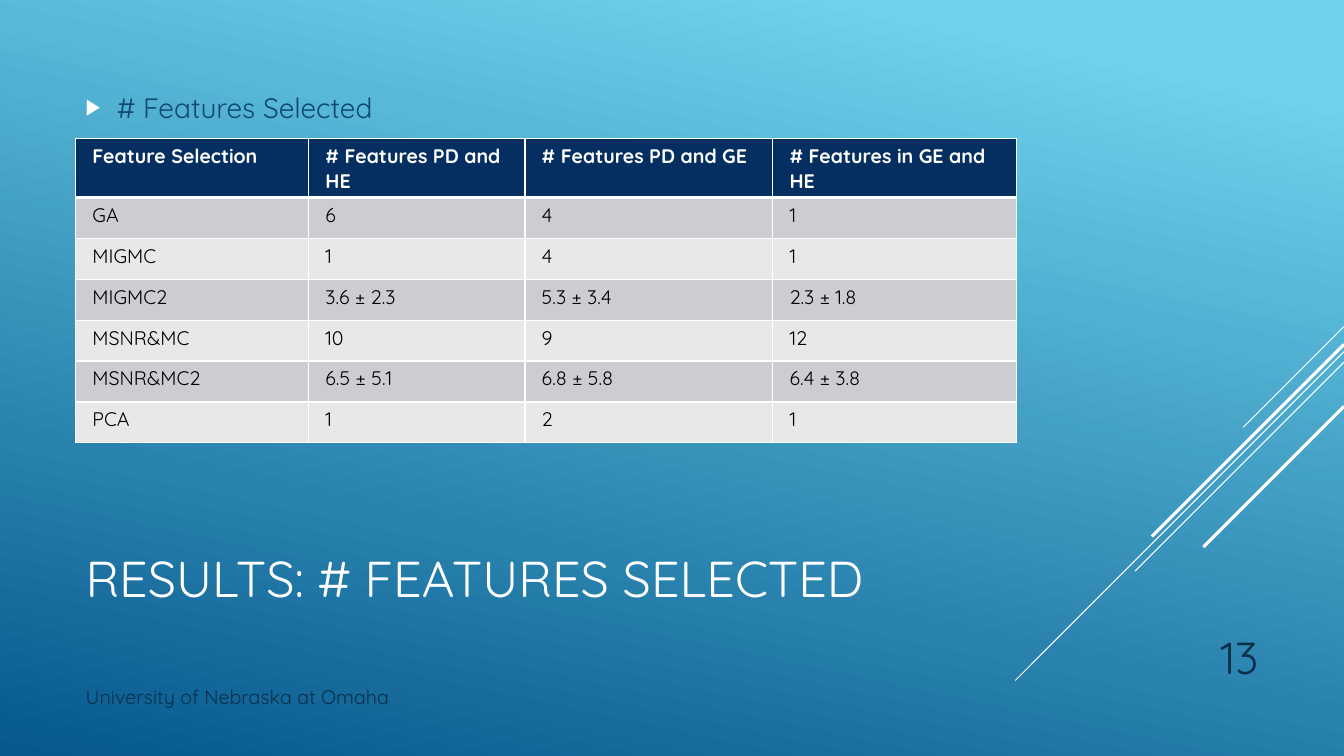
from lxml import etree
from pptx import Presentation
from pptx.dml.color import RGBColor
from pptx.enum.shapes import MSO_CONNECTOR
from pptx.enum.text import MSO_ANCHOR, PP_ALIGN
from pptx.oxml.ns import qn
from pptx.util import Pt

PX = 9525
FONT = "Quicksand"
WHITE = RGBColor(0xFF, 0xFF, 0xFF)
BLACK = RGBColor(0, 0, 0)
SKY = RGBColor(0x6E, 0xD2, 0xEB)
OCEAN = RGBColor(0x06, 0x58, 0x8E)
NAVY = RGBColor(0x05, 0x2F, 0x61)
STEEL = RGBColor(0x0F, 0x49, 0x6F)
DEEP = RGBColor(0x0A, 0x30, 0x4A)
BAND_DARK = RGBColor(0xCC, 0xCD, 0xD2)
BAND_LIGHT = RGBColor(0xE7, 0xE8, 0xEA)
TOP, MIDDLE, BOTTOM = MSO_ANCHOR.TOP, MSO_ANCHOR.MIDDLE, MSO_ANCHOR.BOTTOM
LEFT, RIGHT = PP_ALIGN.LEFT, PP_ALIGN.RIGHT
STRAIGHT = MSO_CONNECTOR.STRAIGHT

PAGE_WIDTH, PAGE_HEIGHT = 1280, 720
COLUMN_WIDTHS = [222, 206, 236, 232]
HEADER_HEIGHT, ROW_HEIGHT = 56, 39
FEATURE_COUNTS = [
    ["Feature Selection", "# Features PD and HE", "# Features PD and GE", "# Features in GE and HE"],
    ["GA", "6", "4", "1"],
    ["MIGMC", "1", "4", "1"],
    ["MIGMC2", "3.6 ± 2.3", "5.3 ± 3.4", "2.3 ± 1.8"],
    ["MSNR&MC", "10", "9", "12"],
    ["MSNR&MC2", "6.5 ± 5.1", "6.8 ± 5.8", "6.4 ± 3.8"],
    ["PCA", "1", "2", "1"],
]
# Start height on the right edge, run to the lower left, line width in points
DIAGONALS = [(311, 96, 0.75), (335, 313, 0.75), (345, 199, 0.75), (328, 183, 2.25), (387, 134, 2.25)]


def px(*lengths):
    return [length * PX for length in lengths]


def write(frame, text, size=14, color=BLACK, bold=False, align=LEFT, space_after=0):
    para = frame.paragraphs[0]
    para.alignment = align
    para.space_after = Pt(space_after)
    span = para.add_run()
    span.text = text
    span.font.name = FONT
    span.font.size = Pt(size)
    span.font.bold = bold
    span.font.color.rgb = color
    return para


def add_text(page, box, text, anchor=TOP, **text_format):
    frame = page.shapes.add_textbox(*px(*box)).text_frame
    frame.word_wrap = True
    frame.vertical_anchor = anchor
    return write(frame, text, **text_format)


def add_bullet(para, indent):
    props = para._p.get_or_add_pPr()
    props.set("marL", str(indent * PX))
    props.set("indent", str(-indent * PX))
    color = etree.SubElement(props, qn("a:buClr"))
    etree.SubElement(color, qn("a:srgbClr"), val=str(WHITE))
    etree.SubElement(props, qn("a:buSzPct"), val="80000")
    etree.SubElement(props, qn("a:buFont"), typeface="Arial")
    etree.SubElement(props, qn("a:buChar"), char="▶")


def paint_background(page):
    fill = page.background.fill
    fill.gradient()
    fill.gradient_angle = 258
    for stop, color, position in zip(fill.gradient_stops, (SKY, OCEAN), (0.1, 1)):
        stop.color.rgb = color
        stop.position = position


def draw_diagonals(page, right_edge):
    for top, run, width in DIAGONALS:
        line = page.shapes.add_connector(STRAIGHT, *px(right_edge, top, right_edge - run, top + run))
        line.line.color.rgb = WHITE
        line.line.width = Pt(width)
        etree.SubElement(line._element.spPr, qn("a:effectLst"))


def set_borders(cell, top=1, bottom=1):
    props = cell._tc.get_or_add_tcPr()
    for side, width in (("L", 1), ("R", 1), ("T", top), ("B", bottom)):
        border = etree.SubElement(props, qn(f"a:ln{side}"), w=str(Pt(width)))
        fill = etree.SubElement(border, qn("a:solidFill"))
        etree.SubElement(fill, qn("a:srgbClr"), val=str(WHITE))


def draw_feature_table(page, left, top):
    heights = [HEADER_HEIGHT] + [ROW_HEIGHT] * (len(FEATURE_COUNTS) - 1)
    table = page.shapes.add_table(len(heights), len(COLUMN_WIDTHS),
                                  *px(left, top, sum(COLUMN_WIDTHS), sum(heights))).table
    table.horz_banding = False
    for column, width in zip(table.columns, COLUMN_WIDTHS):
        column.width = width * PX
    for index, (row, height, values) in enumerate(zip(table.rows, heights, FEATURE_COUNTS)):
        row.height = height * PX
        header = index == 0
        band = NAVY if header else BAND_DARK if index % 2 else BAND_LIGHT
        for cell, value in zip(row.cells, values):
            set_borders(cell, top=3 if index == 1 else 1, bottom=3 if header else 1)
            cell.fill.solid()
            cell.fill.fore_color.rgb = band
            cell.margin_left, cell.margin_right = px(16, 16)
            cell.margin_top, cell.margin_bottom = px(5, 5)
            write(cell.text_frame, value, color=WHITE if header else BLACK, bold=header)


def draw_content(page, left, top):
    para = add_text(page, (left, top, 490, 60), "# Features Selected", anchor=MIDDLE,
                    size=20, color=STEEL, space_after=6)
    add_bullet(para, 30)
    draw_feature_table(page, left, top + 60)


def draw_title_and_footer(page, left, top):
    add_text(page, (left, top, 896, 158), "RESULTS: # FEATURES SELECTED", anchor=MIDDLE,
             size=36, color=WHITE)
    add_text(page, (left, top + 177, 792, 38), "University of Nebraska at Omaha",
             color=DEEP, space_after=6)
    add_text(page, (left + 1016, top + 115, 120, 70), "13", anchor=BOTTOM,
             size=32, color=DEEP, align=RIGHT)


def main():
    deck = Presentation()
    deck.slide_width, deck.slide_height = px(PAGE_WIDTH, PAGE_HEIGHT)
    page = deck.slides.add_slide(deck.slide_layouts[6])
    paint_background(page)
    draw_diagonals(page, PAGE_WIDTH)
    draw_content(page, 72, 72)
    draw_title_and_footer(page, 72, 471)
    deck.save("out.pptx")


if __name__ == "__main__":
    main()
